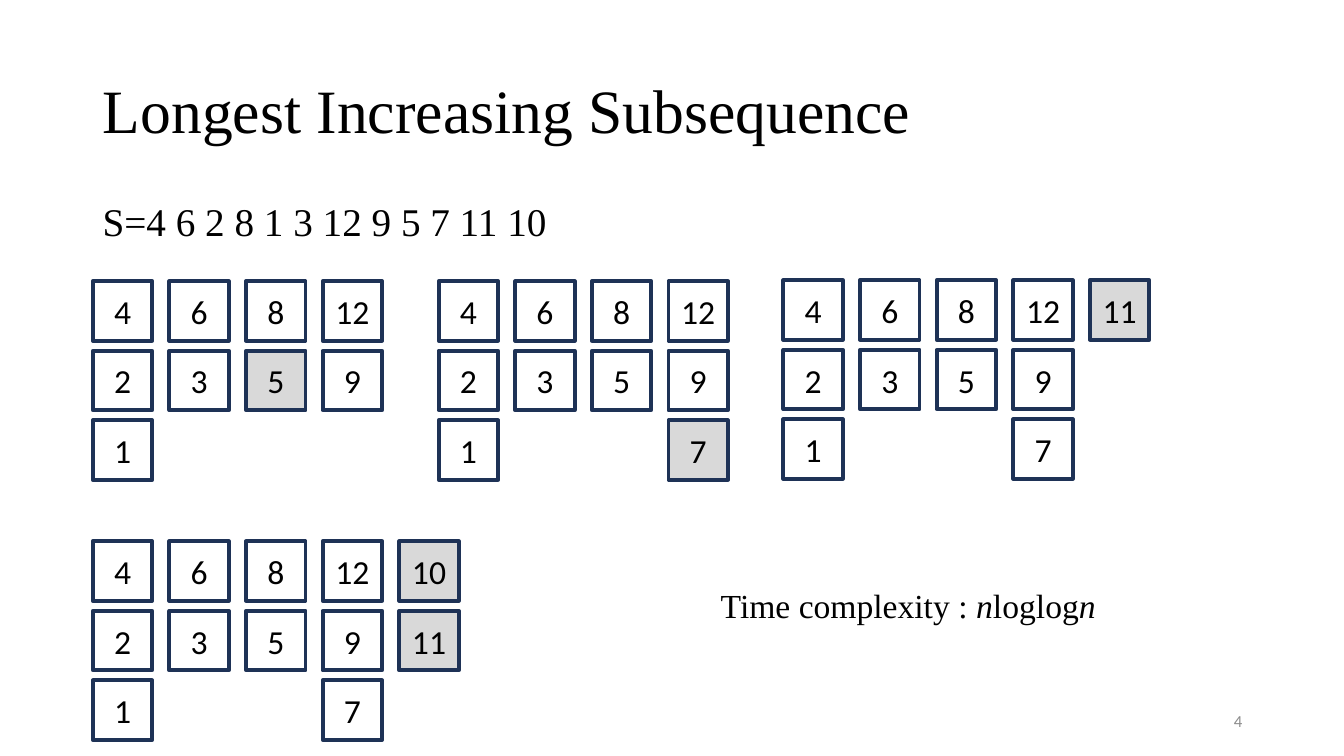
import pptx
import pptx.dml.color
import pptx.enum.shapes
import pptx.enum.text
import pptx.util

Inches = pptx.util.Inches
Pt = pptx.util.Pt
RGBColor = pptx.dml.color.RGBColor
ALIGN = pptx.enum.text.PP_ALIGN
ANCHOR = pptx.enum.text.MSO_ANCHOR

BLACK = RGBColor(0x00, 0x00, 0x00)
WHITE = RGBColor(0xFF, 0xFF, 0xFF)
NAVY = RGBColor(0x1E, 0x32, 0x56)
HIGHLIGHT = RGBColor(0xD9, 0xD9, 0xD9)
GREY = RGBColor(0x8C, 0x8C, 0x8C)

SERIF = "Times New Roman"
SANS = "Calibri"

CELL = 0.59
COLUMN_STEP = 0.76
ROW_STEP = 0.69

STEPS = [
    (0.92, 2.79, [[4, 2, 1], [6, 3], [8, 5], [12, 9]], {5}),
    (4.35, 2.79, [[4, 2, 1], [6, 3], [8, 5], [12, 9, 7]], {7}),
    (7.77, 2.78, [[4, 2, 1], [6, 3], [8, 5], [12, 9, 7], [11]], {11}),
    (0.92, 5.37, [[4, 2, 1], [6, 3], [8, 5], [12, 9, 7], [10, 11]], {10, 11}),
]


def style_paragraph(para, size, name, color=BLACK, align=ALIGN.LEFT):
    para.alignment = align
    para.font.size = Pt(size)
    para.font.name = name
    para.font.color.rgb = color


def place_title(page, left, top, width, height):
    title = page.shapes.title
    title.left, title.top = Inches(left), Inches(top)
    title.width, title.height = Inches(width), Inches(height)
    title.text_frame.text = "Longest Increasing Subsequence"
    title.text_frame.vertical_anchor = ANCHOR.MIDDLE
    para = title.text_frame.paragraphs[0]
    para.line_spacing = 0.9
    style_paragraph(para, 44, SERIF)


def add_text(page, left, top, width, height, spans, size, name=SERIF,
             color=BLACK, align=ALIGN.LEFT, anchor=ANCHOR.TOP):
    box = page.shapes.add_textbox(
        Inches(left), Inches(top), Inches(width), Inches(height))
    frame = box.text_frame
    frame.word_wrap = True
    frame.vertical_anchor = anchor
    para = frame.paragraphs[0]
    for text, italic in spans:
        span = para.add_run()
        span.text = text
        if italic:
            span.font.italic = True
    style_paragraph(para, size, name, color, align)
    return para


def add_cell(page, left, top, number, fill):
    cell = page.shapes.add_shape(
        pptx.enum.shapes.MSO_SHAPE.RECTANGLE,
        Inches(left), Inches(top), Inches(CELL), Inches(CELL))
    cell.shadow.inherit = False
    cell.fill.solid()
    cell.fill.fore_color.rgb = fill
    cell.line.color.rgb = NAVY
    cell.line.width = Pt(2.75)
    cell.text_frame.text = str(number)
    cell.text_frame.vertical_anchor = ANCHOR.MIDDLE
    style_paragraph(cell.text_frame.paragraphs[0], 24, SANS, align=ALIGN.CENTER)


def add_piles(page, left, top, piles, highlighted):
    for column, pile in enumerate(piles):
        for row, number in enumerate(pile):
            fill = HIGHLIGHT if number in highlighted else WHITE
            add_cell(page, left + column * COLUMN_STEP, top + row * ROW_STEP,
                     number, fill)


def build_subsequence_slide(deck):
    page = deck.slides.add_slide(deck.slide_layouts[5])
    place_title(page, 0.92, 0.4, 11.5, 1.45)
    sequence = add_text(page, 0.92, 2, 11.5, 0.5,
                        [("S=4 6 2 8 1 3 12 9 5 7 11 10", False)], 28)
    sequence.line_spacing = 0.8
    for left, top, piles, highlighted in STEPS:
        add_piles(page, left, top, piles, highlighted)
    add_text(page, 7.05, 5.75, 4.73, 0.5,
             [("Time complexity : ", False), ("n", True),
              ("loglog", False), ("n", True)], 24)
    add_text(page, 9.42, 6.95, 3, 0.4, [("4", False)], 12, SANS, GREY,
             ALIGN.RIGHT, ANCHOR.MIDDLE)


def main():
    deck = pptx.Presentation()
    deck.slide_width = Inches(13.33)
    deck.slide_height = Inches(7.5)
    build_subsequence_slide(deck)
    deck.save("out.pptx")


if __name__ == "__main__":
    main()
